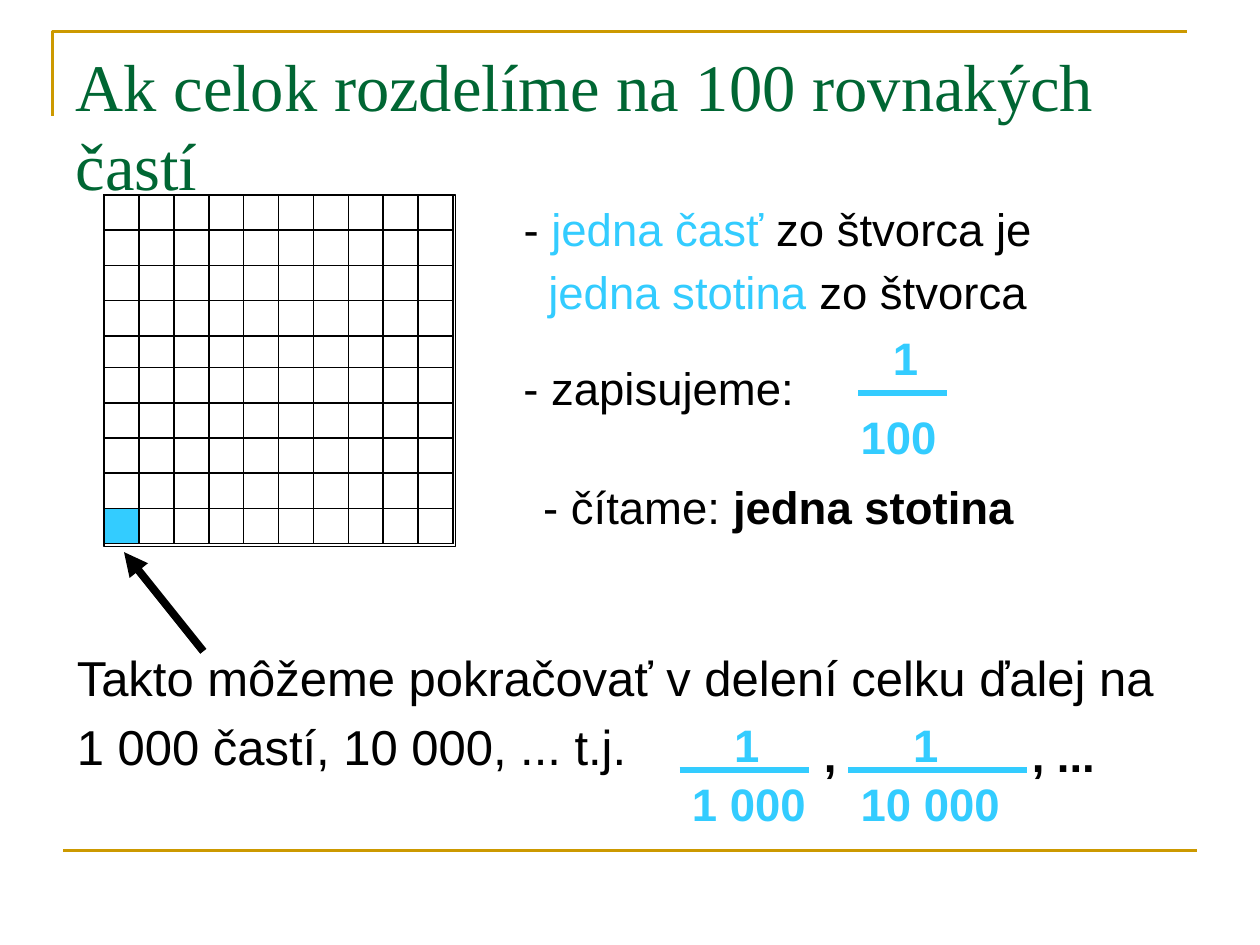
"""Build a slide on dividing a whole into one hundred equal parts."""
from dataclasses import dataclass

import pptx
import pptx.dml.color
import pptx.enum.shapes
import pptx.enum.text
import pptx.oxml
import pptx.oxml.ns
import pptx.util
from pptx.util import Cm, Pt

BLACK, CYAN, GOLD, GREEN = "000000", "33CCFF", "CC9900", "006633"
ALIGN = pptx.enum.text.PP_ALIGN
NS = pptx.oxml.ns.nsdecls("a")
GRID_LEFT, GRID_TOP, GRID_COUNT = 2.1, 3.93, 10


@dataclass
class Run:
    text: str
    color: str = BLACK
    bold: bool = False


@dataclass
class Para:
    runs: list[Run]
    indent: float = 0


@dataclass
class Label:
    left: float
    top: float
    width: float
    height: float
    paras: list[Para]
    size: float = 26
    font: str = "Arial"
    align: ALIGN = ALIGN.LEFT


@dataclass
class Line:
    x1: float
    y1: float
    x2: float
    y2: float
    color: str
    width: float
    arrow: bool = False


@dataclass
class Fraction:
    top: str
    bottom: str
    top_x: float
    top_y: float
    bottom_x: float
    bottom_y: float
    bar: Line


def rgb(value: str) -> pptx.dml.color.RGBColor:
    return pptx.dml.color.RGBColor.from_string(value)


def fill_text(sp, label: Label) -> None:
    sp.left, sp.top = Cm(label.left), Cm(label.top)
    sp.width, sp.height = Cm(label.width), Cm(label.height)
    tf = sp.text_frame
    tf.word_wrap = True
    tf.auto_size = pptx.enum.text.MSO_AUTO_SIZE.NONE
    tf.vertical_anchor = pptx.enum.text.MSO_ANCHOR.TOP
    for i, para in enumerate(label.paras):
        p = tf.add_paragraph() if i else tf.paragraphs[0]
        p.alignment = label.align
        p.space_before = Pt(round(label.size * 0.2, 1) if i else 0)
        pPr = p._p.get_or_add_pPr()
        pPr.set("marL", str(Cm(para.indent)))
        pPr.set("indent", "0")
        pPr.append(pptx.oxml.parse_xml(f"<a:buNone {NS}/>"))
        for run in para.runs:
            r = p.add_run()
            r.text = run.text
            r.font.name, r.font.size = label.font, Pt(label.size)
            r.font.bold = run.bold
            r.font.color.rgb = rgb(run.color)


def add_label(s, label: Label) -> None:
    fill_text(s.shapes.add_textbox(0, 0, 0, 0), label)


def add_line(s, line: Line) -> None:
    sp = s.shapes.add_connector(
        pptx.enum.shapes.MSO_CONNECTOR.STRAIGHT,
        Cm(line.x1), Cm(line.y1), Cm(line.x2), Cm(line.y2))
    sp.line.color.rgb = rgb(line.color)
    sp.line.width = Pt(line.width)
    if line.arrow:
        sp.line._get_or_add_ln().append(
            pptx.oxml.parse_xml(f'<a:tailEnd {NS} type="triangle"/>'))
    sp._element.spPr.append(pptx.oxml.parse_xml(f"<a:effectLst {NS}/>"))


def outline(sp, color: str, width: float) -> None:
    sp.shadow.inherit = False
    sp.fill.background()
    sp.line.color.rgb = rgb(color)
    sp.line.width = Pt(width)


def add_corner(s) -> None:
    builder = s.shapes.build_freeform(Cm(1.06), Cm(2.33))
    builder.add_line_segments(
        [(Cm(1.06), Cm(0.63)), (Cm(23.92), Cm(0.63))], close=False)
    outline(builder.convert_to_shape(), GOLD, 1.5)


def add_square(s) -> None:
    square = s.shapes.add_shape(
        pptx.enum.shapes.MSO_SHAPE.RECTANGLE,
        Cm(GRID_LEFT), Cm(GRID_TOP), Cm(7.09), Cm(7.09))
    outline(square, BLACK, 0.75)


def add_grid(s):
    table = s.shapes.add_table(
        GRID_COUNT, GRID_COUNT, Cm(GRID_LEFT), Cm(GRID_TOP),
        Cm(7.03), Cm(7.03)).table
    table.first_row = table.horz_banding = False
    for column in table.columns:
        column.width = Cm(7.03 / GRID_COUNT)
    for i, row in enumerate(table.rows):
        row.height = Cm(0.64 if i == 4 else 0.71)
        for cell in row.cells:
            format_cell(cell)
    return table


def format_cell(cell) -> None:
    cell.margin_left = cell.margin_right = 0
    cell.margin_top = cell.margin_bottom = 0
    cell.text_frame.paragraphs[0]._p.append(
        pptx.oxml.parse_xml(f'<a:endParaRPr {NS} sz="800"/>'))
    tcPr = cell._tc.get_or_add_tcPr()
    for side in ("lnL", "lnR", "lnT", "lnB"):
        tcPr.append(pptx.oxml.parse_xml(
            f'<a:{side} {NS} w="{Pt(1)}"><a:solidFill>'
            f'<a:srgbClr val="{BLACK}"/></a:solidFill></a:{side}>'))
    cell.fill.background()


def add_fraction(s, frac: Fraction) -> None:
    for text, x, y, width in (
            (frac.top, frac.top_x, frac.top_y, 1.4),
            (frac.bottom, frac.bottom_x, frac.bottom_y, 3.6)):
        add_label(s, Label(x, y, width, 1.4, [Para([Run(text, CYAN, True)])]))
    add_line(s, frac.bar)


TITLE = Label(1.27, 0.77, 22.86, 1.75,
              [Para([Run("Ak celok rozdelíme na 100 rovnakých častí", GREEN)])],
              38, "Times New Roman")
BODY = Label(10.3, 3.92, 11.4, 2.59, [
    Para([Run("-"), Run(" jedna časť ", CYAN), Run("zo štvorca je")]),
    Para([Run("jedna stotina", CYAN), Run(" zo štvorca")], 0.5)])
LABELS = [
    Label(1.3, 12.93, 23.01, 2.79, [
        Para([Run("Takto môžeme pokračovať v delení celku ďalej na")]),
        Para([Run("1 000 častí, 10 000, ... t.j.")])], 28, align=ALIGN.JUSTIFY),
    Label(10.3, 7.14, 6.2, 1.4, [Para([Run("- zapisujeme:")])]),
    Label(10.7, 9.53, 11.61, 1.6,
          [Para([Run("- čítame: "), Run("jedna stotina", bold=True)])]),
    Label(16.36, 14.53, 1.4, 1.4, [Para([Run(",", bold=True)])]),
    Label(20.55, 14.53, 3.4, 1.4, [Para([Run(", ...", bold=True)])]),
]
FRACTIONS = [
    Fraction("1", "100", 17.75, 6.53, 17.1, 8.13,
             Line(17.3, 7.92, 19.1, 7.92, CYAN, 3)),
    Fraction("1", "1 000", 14.55, 14.33, 13.7, 15.52,
             Line(13.7, 15.52, 16.3, 15.52, CYAN, 3)),
    Fraction("1", "10 000", 18.16, 14.33, 17.1, 15.52,
             Line(17.1, 15.52, 20.7, 15.52, CYAN, 3)),
]


def main() -> None:
    prs = pptx.Presentation()
    prs.slide_width, prs.slide_height = Cm(25.4), Cm(19.05)
    s = prs.slides.add_slide(prs.slide_layouts[1])
    fill_text(s.shapes.title, TITLE)
    fill_text(s.placeholders[1], BODY)
    add_corner(s)
    add_line(s, Line(1.27, 17.15, 24.13, 17.15, GOLD, 1.5))
    add_grid(s)
    add_line(s, Line(4.1, 13.13, 2.5, 11.13, BLACK, 4.5, arrow=True))
    add_square(s)
    marked = add_grid(s).cell(GRID_COUNT - 1, 0)
    marked.fill.solid()
    marked.fill.fore_color.rgb = rgb(CYAN)
    for label in LABELS:
        add_label(s, label)
    for frac in FRACTIONS:
        add_fraction(s, frac)
    prs.save("out.pptx")


if __name__ == "__main__":
    main()
